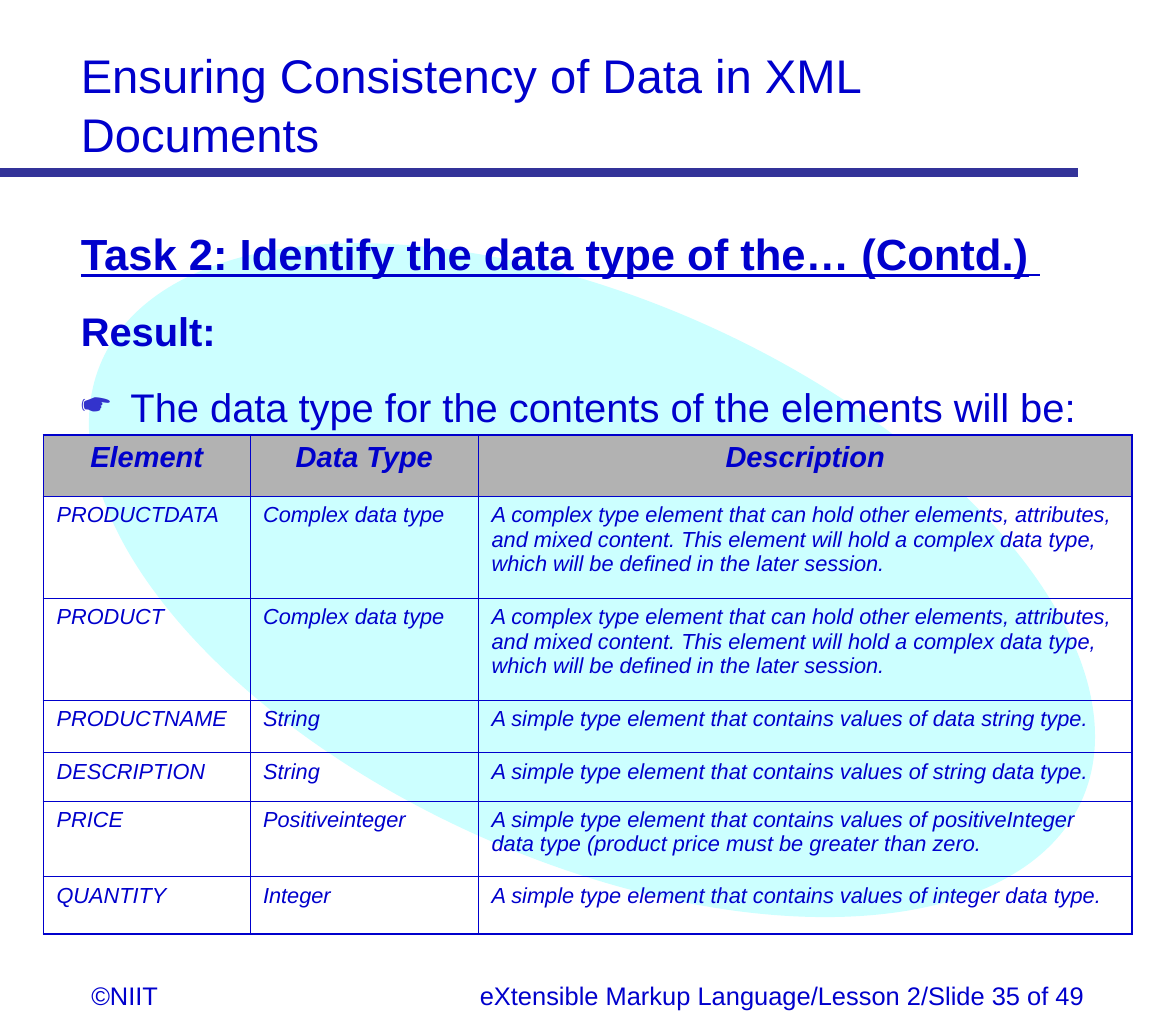
import pptx
import pptx.dml.color
import pptx.enum.shapes
import pptx.enum.text
import pptx.oxml
import pptx.oxml.ns
import pptx.util
from lxml import etree

RGB = pptx.dml.color.RGBColor
BLUE = RGB(0x00, 0x00, 0xCC)
INDIGO = RGB(0x33, 0x33, 0x99)
POINTER = RGB(0x33, 0x33, 0xCC)
AQUA = RGB(0xCC, 0xFF, 0xFF)
GRAY = RGB(0xB2, 0xB2, 0xB2)
FONT = "Arial"
WIDE = pptx.util.Inches(9)
HIGH = pptx.util.Inches(7.89)
ALIGN = pptx.enum.text.PP_ALIGN
THIN, THICK = 0.45, 1.08

COLS = [17.56, 19.44, 55.56]
ROWS = [5.96, 9.89, 9.89, 5.07, 4.69, 7.35, 5.58]
HEAD = ("Element", "Data Type", "Description")
COMPLEX = ("A complex type element that can hold other elements, attributes, "
           "and mixed content. This element will hold a complex data type, "
           "which will be defined in the later session.")
SIMPLE = "A simple type element that contains values of "
DATA = [
    HEAD,
    ("PRODUCTDATA", "Complex data type", COMPLEX),
    ("PRODUCT", "Complex data type", COMPLEX),
    ("PRODUCTNAME", "String", SIMPLE + "data string type."),
    ("DESCRIPTION", "String", SIMPLE + "string data type."),
    ("PRICE", "Positiveinteger", SIMPLE + "positiveInteger data type "
     "(product price must be greater than zero."),
    ("QUANTITY", "Integer", SIMPLE + "integer data type."),
]


def across(share):
    return round(WIDE * share / 100)


def down(share):
    return round(HIGH * share / 100)


def area(left, top, width, height):
    return across(left), down(top), across(width), down(height)


def write(para, text, size=22, bold=False, italic=False, under=False,
          align=ALIGN.LEFT, before=0, spacing=1.0):
    para.alignment = align
    para.space_before = pptx.util.Pt(before)
    para.line_spacing = spacing
    run = para.add_run()
    run.text = text
    font = run.font
    font.name, font.size = FONT, pptx.util.Pt(size)
    font.bold, font.italic, font.underline = bold, italic, under
    font.color.rgb = BLUE


def frame(slide, *place):
    box = slide.shapes.add_textbox(*area(*place))
    box.text_frame.word_wrap = True
    return box.text_frame


def hang(para, sign=None):
    props = para._p.get_or_add_pPr()
    indent = pptx.util.Inches(0.38)
    props.set("marL", str(indent))
    props.set("indent", str(-indent))
    if sign:
        tint = etree.SubElement(props, pptx.oxml.ns.qn("a:buClr"))
        etree.SubElement(tint, pptx.oxml.ns.qn("a:srgbClr"), val=str(POINTER))
        etree.SubElement(props, pptx.oxml.ns.qn("a:buChar"), char=sign)


def oval(slide, *place, turn):
    shape = slide.shapes.add_shape(
        pptx.enum.shapes.MSO_SHAPE.OVAL, *area(*place))
    shape.shadow.inherit = False
    shape.rotation = turn
    shape.fill.solid()
    shape.fill.fore_color.rgb = AQUA
    shape.line.fill.background()


def rule(slide, end, top):
    line = slide.shapes.add_connector(
        pptx.enum.shapes.MSO_CONNECTOR.STRAIGHT,
        0, down(top), across(end), down(top))
    line.line.color.rgb = INDIGO
    line.line.width = pptx.util.Pt(5)
    etree.SubElement(line._element.spPr, pptx.oxml.ns.qn("a:effectLst"))


def border(cell, outer):
    props = cell._tc.get_or_add_tcPr()
    for spot, side in enumerate("LRTB"):
        width = pptx.util.Pt(THICK if side in outer else THIN)
        props.insert(spot, pptx.oxml.parse_xml(
            f'<a:ln{side} {pptx.oxml.ns.nsdecls("a")} w="{width}">'
            f'<a:solidFill><a:srgbClr val="{BLUE}"/></a:solidFill>'
            f'</a:ln{side}>'))


def grid(slide, left, top):
    place = area(left, top, sum(COLS), sum(ROWS))
    table = slide.shapes.add_table(len(ROWS), len(COLS), *place).table
    table.first_row = table.horz_banding = False
    for col, share in zip(table.columns, COLS):
        col.width = across(share)
    for row, share in zip(table.rows, ROWS):
        row.height = down(share)
    for r, texts in enumerate(DATA):
        for c, text in enumerate(texts):
            cell = table.cell(r, c)
            para = cell.text_frame.paragraphs[0]
            if r == 0:
                cell.fill.solid()
                cell.fill.fore_color.rgb = GRAY
                write(para, text, size=16, bold=True, italic=True,
                      align=ALIGN.CENTER)
            else:
                cell.fill.background()
                write(para, text, size=12, italic=True)
            edges = {"L": c == 0, "R": c == len(COLS) - 1,
                     "T": r == 0, "B": r == len(ROWS) - 1}
            border(cell, [side for side, outer in edges.items() if outer])


def body(slide):
    text = frame(slide, 5.78, 21.17, 90.44, 71.1)
    task = text.paragraphs[0]
    hang(task)
    write(task, "Task 2: Identify the data type of the… (Contd.)",
          size=24, bold=True, under=True, spacing=1.05)
    write(task, " ", bold=True, under=True, spacing=1.05)
    for line, bold, sign in [
            ("Result:", True, None),
            ("The data type for the contents of the elements will be:",
             False, "☛")]:
        para = text.add_paragraph()
        hang(para, sign)
        write(para, line, bold=bold, before=13.8, spacing=1.05)


def main():
    deck = pptx.Presentation()
    deck.slide_width, deck.slide_height = WIDE, HIGH
    slide = deck.slides.add_slide(deck.slide_layouts[6])
    oval(slide, 26.56, 4.18, 47.56, 104.18, turn=294.2)
    title = frame(slide, 5.78, 3.55, 86.67, 12.29)
    write(title.paragraphs[0],
          "Ensuring Consistency of Data in XML Documents",
          size=26, spacing=1.05)
    mark = frame(slide, 6.67, 94.42, 12.44, 4.31)
    write(mark.paragraphs[0], "©NIIT", size=14)
    foot = frame(slide, 35, 94.42, 58.33, 4.31)
    write(foot.paragraphs[0],
          "eXtensible Markup Language/Lesson 2/Slide 35 of 49",
          size=14, align=ALIGN.RIGHT)
    rule(slide, 91.67, 16.73)
    body(slide)
    grid(slide, 3.7, 42.21)
    deck.save("out.pptx")


if __name__ == "__main__":
    main()
